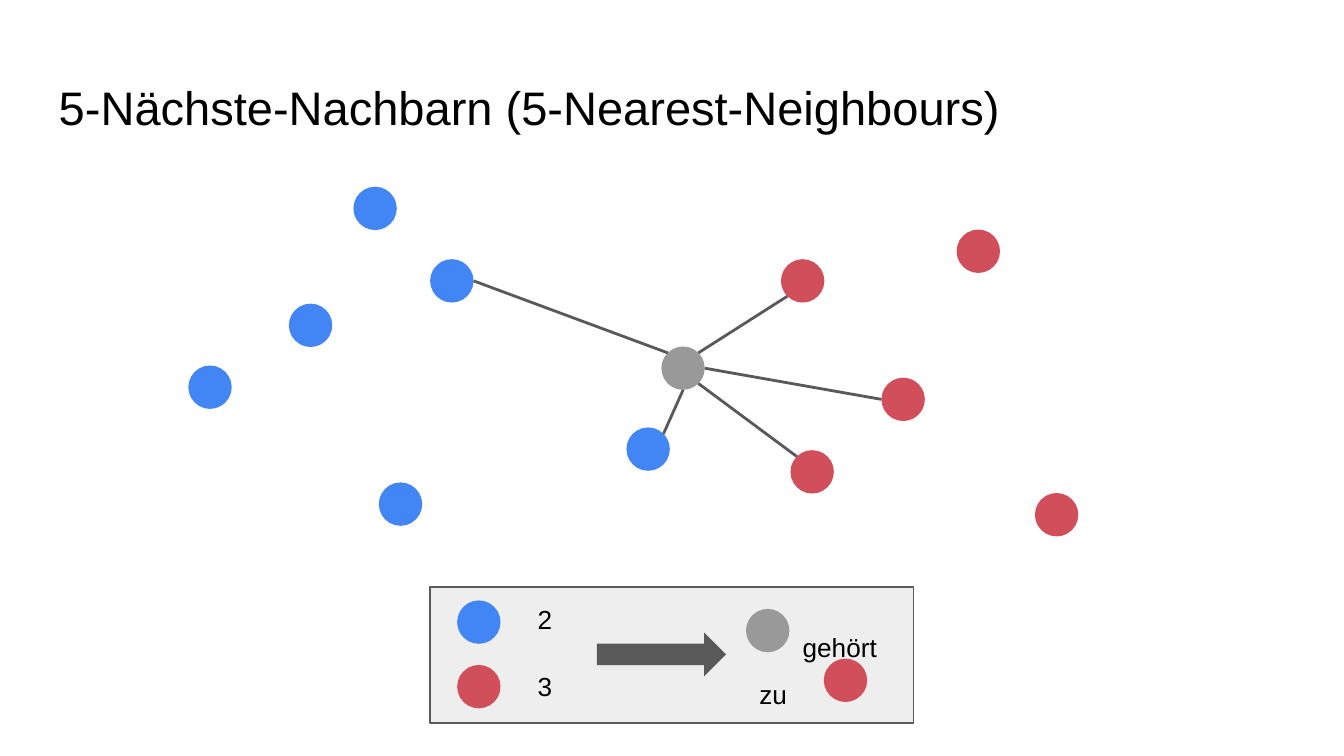
from math import cos, radians, sin

from lxml import etree
from pptx import Presentation
from pptx.dml.color import RGBColor
from pptx.enum.shapes import MSO_CONNECTOR as Connector, MSO_SHAPE as Shape
from pptx.enum.text import MSO_ANCHOR as Anchor, MSO_AUTO_SIZE as AutoSize, PP_ALIGN as Align
from pptx.oxml.ns import qn
from pptx.util import Cm, Pt

BLACK = RGBColor(0x00, 0x00, 0x00)
BLUE = RGBColor(0x42, 0x85, 0xF4)
RED = RGBColor(0xD1, 0x4E, 0x5B)
GREY = RGBColor(0x99, 0x99, 0x99)
DARK = RGBColor(0x59, 0x59, 0x59)
PALE = RGBColor(0xEE, 0xEE, 0xEE)

DOT = 0.82
INSET = Cm(0.25)
FRAME = {"word_wrap": True, "auto_size": AutoSize.NONE, "vertical_anchor": Anchor.TOP,
         "margin_left": INSET, "margin_top": INSET,
         "margin_right": INSET, "margin_bottom": INSET}

# Dot positions relative to the scatter box
BLUE_DOTS = [(0, 3.38), (3.12, 0), (1.9, 2.21), (3.6, 5.59), (8.28, 4.55), (4.57, 1.37)]
RED_DOTS = [(14.52, 0.81), (11.38, 4.98), (13.1, 3.61), (16, 5.79), (11.2, 1.37)]
QUERY = (8.94, 3.02)
# Neighbour, angle where the line leaves it, angle where it meets the query dot
# (degrees, clockwise from the right)
NEIGHBOURS = [(BLUE_DOTS[4], -45, 90), (RED_DOTS[1], -135, 45), (RED_DOTS[4], 135, -45),
              (RED_DOTS[2], 180, 0), (BLUE_DOTS[5], 0, -135)]


def set_all(target, values):
    for name, value in values.items():
        setattr(target, name, value)


def write(frame, text, size, **frame_values):
    set_all(frame, FRAME | frame_values)
    frame.text = text
    paragraph = frame.paragraphs[0]
    paragraph.alignment = Align.LEFT
    set_all(paragraph.font, {"name": "Arial", "size": Pt(size)})
    paragraph.font.color.rgb = BLACK
    return paragraph


def add_filled(shapes, kind, left, top, width, height, color):
    filled = shapes.add_shape(kind, Cm(left), Cm(top), Cm(width), Cm(height))
    filled.shadow.inherit = False
    filled.fill.solid()
    filled.fill.fore_color.rgb = color
    filled.line.fill.background()
    return filled


def add_dot(shapes, left, top, color):
    add_filled(shapes, Shape.OVAL, left, top, DOT, DOT, color)


def add_label(shapes, left, top, width, height, text, **frame_values):
    label = shapes.add_textbox(Cm(left), Cm(top), Cm(width), Cm(height))
    return write(label.text_frame, text, 14, **frame_values)


def rim_point(dot, angle):
    x, y = dot
    turn, radius = radians(angle), DOT / 2
    return x + radius + radius * cos(turn), y + radius + radius * sin(turn)


def build_title(slide, left, top, width, height):
    title = slide.shapes.title
    set_all(title, {"left": Cm(left), "top": Cm(top), "width": Cm(width), "height": Cm(height)})
    write(title.text_frame, "5-Nächste-Nachbarn (5-Nearest-Neighbours)", 25.2)


def build_scatter(slide, left, top):
    # Both classes and the dot to be classified
    for dots, color in ((BLUE_DOTS, BLUE), (RED_DOTS, RED), ([QUERY], GREY)):
        for x, y in dots:
            add_dot(slide.shapes, left + x, top + y, color)

    # Lines to the five nearest neighbours
    for neighbour, leave, meet in NEIGHBOURS:
        x1, y1 = rim_point(neighbour, leave)
        x2, y2 = rim_point(QUERY, meet)
        link = slide.shapes.add_connector(Connector.STRAIGHT, Cm(left + x1), Cm(top + y1),
                                          Cm(left + x2), Cm(top + y2))
        link.line.color.rgb = DARK
        link.line.width = Pt(1.5)
        etree.SubElement(link._element.spPr, qn("a:effectLst"))


def build_legend(slide, left, top, width, height):
    legend = slide.shapes.add_group_shape().shapes
    panel = add_filled(legend, Shape.RECTANGLE, left, top, width, height, PALE)
    panel.line.color.rgb = DARK
    panel.line.width = Pt(0.75)

    # Votes per class
    for dot_top, label_top, color, votes in ((0.25, 0.05, BLUE, "2"), (1.47, 1.32, RED, "3")):
        add_dot(legend, left + 0.51, top + dot_top, color)
        add_label(legend, left + 1.78, top + label_top, 0.97, 1.12, votes)

    add_filled(legend, Shape.RIGHT_ARROW, left + 3.15, top + 0.86, 2.44, DOT, DARK)

    # Verdict: the first line is indented past the grey dot
    verdict = legend.add_group_shape().shapes
    sentence = add_label(verdict, left + 5.97, top + 0.28, 2.74, 2.01, "gehört zu",
                         margin_right=Cm(0.15))
    sentence.line_spacing = 1.5
    sentence._p.get_or_add_pPr().set("indent", str(Cm(DOT)))
    add_dot(verdict, left + 5.97, top + 0.41, GREY)
    add_dot(verdict, left + 7.44, top + 1.35, RED)


def main():
    deck = Presentation()
    set_all(deck, {"slide_width": Cm(25.4), "slide_height": Cm(14.29)})
    slide = deck.slides.add_slide(deck.slide_layouts[5])
    build_title(slide, 0.86, 1.24, 23.67, 1.6)
    build_scatter(slide, 3.56, 3.53)
    build_legend(slide, 8.13, 11.1, 9.14, 2.57)
    deck.save("out.pptx")


if __name__ == "__main__":
    main()
